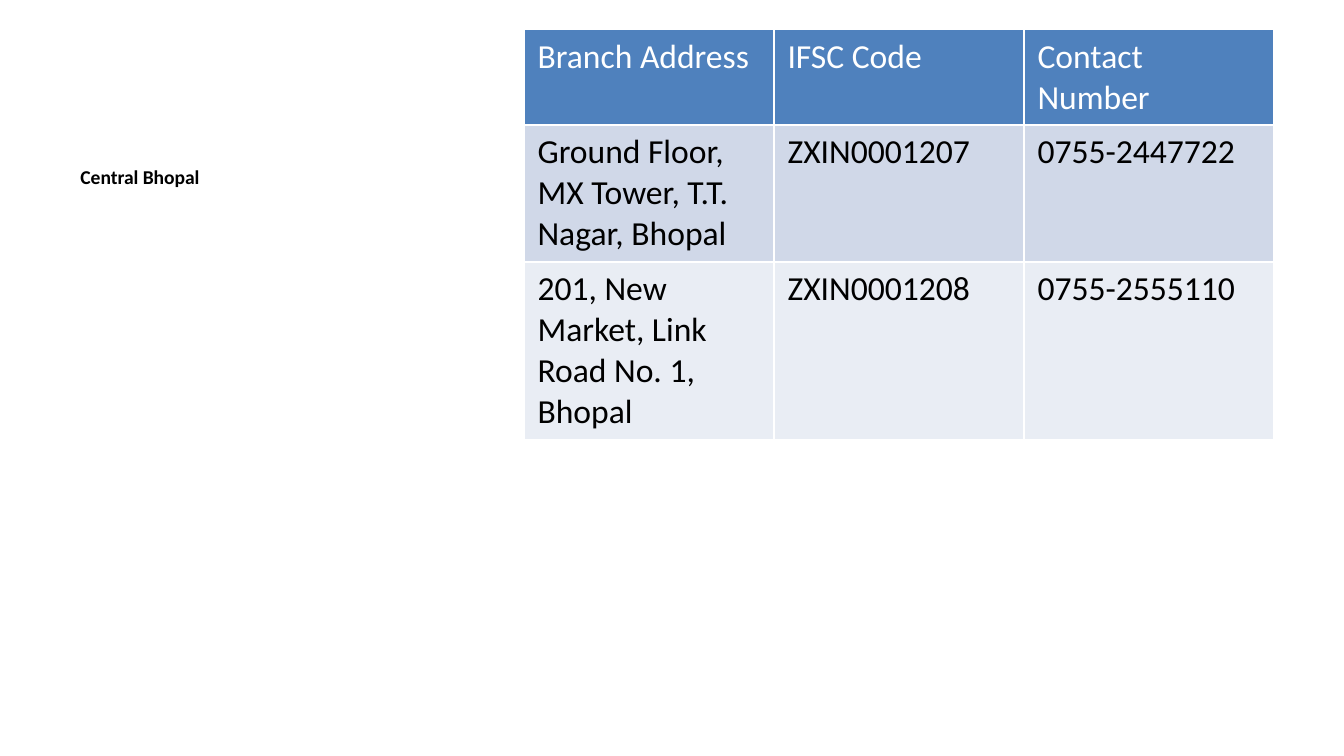
from dataclasses import dataclass

from pptx import Presentation
from pptx.dml.color import RGBColor as RGB
from pptx.util import Inches, Pt

# Content
BRANCH_AREA = "Central Bhopal"
HEADINGS = ["Branch Address", "IFSC Code", "Contact Number"]
BRANCHES = [
    ["Ground Floor, MX Tower, T.T. Nagar, Bhopal", "ZXIN0001207", "0755-2447722"],
    ["201, New Market, Link Road No. 1, Bhopal", "ZXIN0001208", "0755-2555110"],
]


@dataclass(frozen=True)
class Theme:
    font: str = "Calibri"
    area_size: float = 10.5
    table_size: float = 18
    text: str = "000000"
    heading_text: str = "FFFFFF"
    heading_fill: str = "4F81BD"
    bands: tuple = ("D0D8E8", "E9EDF4")


THEME = Theme()

# Layout in inches, on a 16:9 slide
SLIDE_WIDTH = 10
SLIDE_HEIGHT = SLIDE_WIDTH * 9 / 16
AREA_BOX = (0.5, 1.18, 3.29, 3.85)
TABLE_LEFT, TABLE_TOP, COLUMN_WIDTH = 3.9, 0.22, 1.86
ROW_HEIGHTS = [0.71, 1.02, 1.32]


def write(frame, words, size, color, bold=False):
    run = frame.paragraphs[0].add_run()
    run.text = words
    run.font.name = THEME.font
    run.font.size = Pt(size)
    run.font.bold = bold
    run.font.color.rgb = RGB.from_string(color)


deck = Presentation()
deck.slide_width, deck.slide_height = Inches(SLIDE_WIDTH), Inches(SLIDE_HEIGHT)
slide = deck.slides.add_slide(deck.slide_layouts[6])

# Area name
area = slide.shapes.add_textbox(*map(Inches, AREA_BOX)).text_frame
area.word_wrap = True
write(area, BRANCH_AREA, THEME.area_size, THEME.text, bold=True)

# Branch table; its white rules come from the default table style
rows = [HEADINGS, *BRANCHES]
branch_table = slide.shapes.add_table(
    len(rows), len(HEADINGS), Inches(TABLE_LEFT), Inches(TABLE_TOP),
    Inches(COLUMN_WIDTH * len(HEADINGS)), Inches(sum(ROW_HEIGHTS))).table
for column in branch_table.columns:
    column.width = Inches(COLUMN_WIDTH)

for r, (entries, height) in enumerate(zip(rows, ROW_HEIGHTS)):
    branch_table.rows[r].height = Inches(height)
    if r == 0:
        fill, color = THEME.heading_fill, THEME.heading_text
    else:
        fill, color = THEME.bands[(r - 1) % 2], THEME.text
    for c, entry in enumerate(entries):
        cell = branch_table.cell(r, c)
        cell.fill.solid()
        cell.fill.fore_color.rgb = RGB.from_string(fill)
        write(cell.text_frame, entry, THEME.table_size, color)

deck.save("out.pptx")
